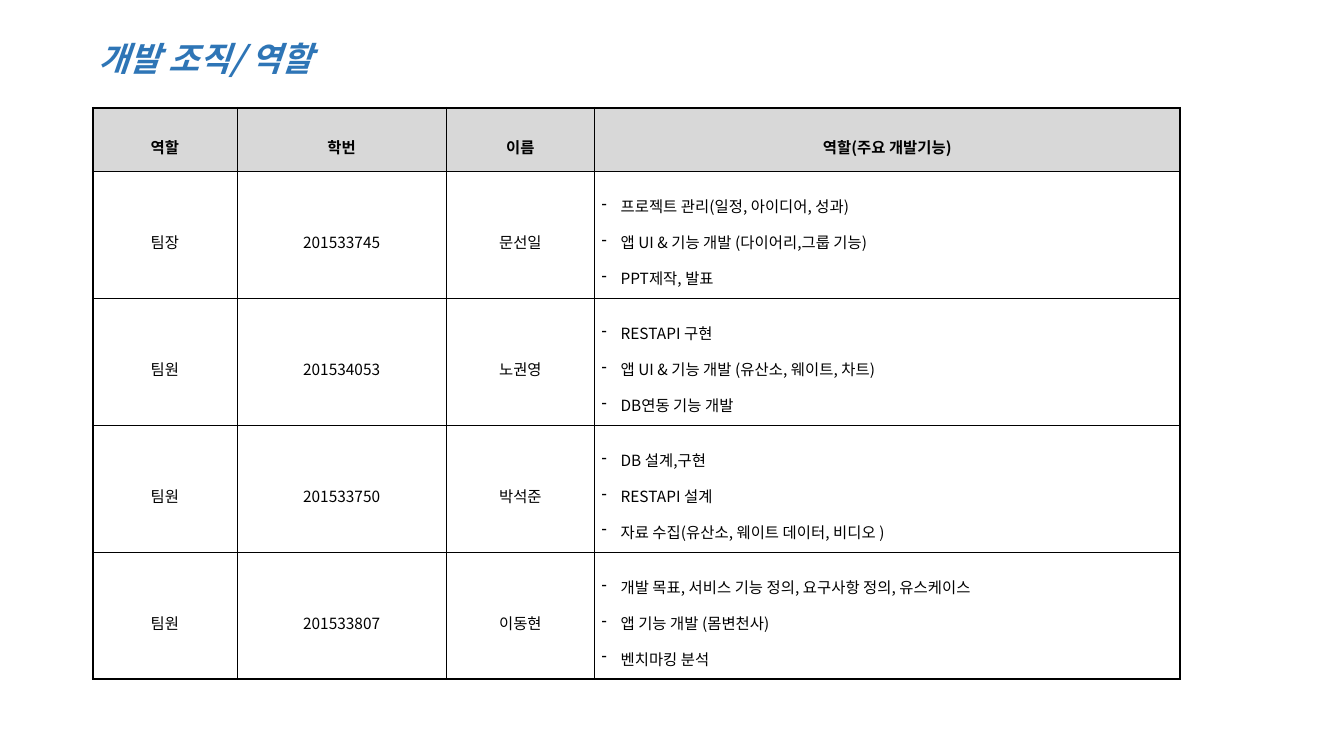
from lxml import etree
from pptx import Presentation
from pptx import util as u
from pptx.dml import color
from pptx.enum import text
from pptx.oxml import ns

FONT = "Noto Sans CJK KR"
HUES = {"title": "2E75B6", "ink": "000000", "head": "D8D8D8"}
HEADS = ["역할", "학번", "이름", "역할(주요 개발기능)"]
TEAM = [
    ["팀장", "201533745", "문선일",
     "프로젝트 관리(일정, 아이디어, 성과)\n"
     "앱 UI & 기능 개발 (다이어리,그룹 기능)\n"
     "PPT제작, 발표"],
    ["팀원", "201534053", "노권영",
     "RESTAPI 구현\n"
     "앱 UI & 기능 개발 (유산소, 웨이트, 차트)\n"
     "DB연동 기능 개발"],
    ["팀원", "201533750", "박석준",
     "DB 설계,구현\n"
     "RESTAPI 설계\n"
     "자료 수집(유산소, 웨이트 데이터, 비디오 )"],
    ["팀원", "201533807", "이동현",
     "개발 목표, 서비스 기능 정의, 요구사항 정의, 유스케이스\n"
     "앱 기능 개발 (몸변천사)\n"
     "벤치마킹 분석"],
]
WIDTHS = [3.63, 5.28, 3.73, 14.76]
HEIGHTS = [1.6] + [3.2] * len(TEAM)
THIN, THICK = 0.28, 1.7


def rgb(name):
    return color.RGBColor.from_string(HUES[name])


def style(para, size, hue, bold=False, italic=False):
    for run in para.runs:
        font = run.font
        font.size, font.name = u.Pt(size), FONT
        font.bold, font.italic = bold, italic
        font.color.rgb = rgb(hue)
        east = etree.SubElement(run._r.get_or_add_rPr(), ns.qn("a:ea"))
        east.set("typeface", FONT)


def dash(para):
    """Give the paragraph a hanging dash bullet."""
    props = para._p.get_or_add_pPr()
    props.set("marL", str(u.Cm(0.48)))
    props.set("indent", str(-u.Cm(0.48)))
    etree.SubElement(props, ns.qn("a:buChar")).set("char", "-")


def edge(cell, side, points):
    """Draw one border of a cell; side is L, R, T or B."""
    line = etree.SubElement(cell._tc.get_or_add_tcPr(), ns.qn("a:ln" + side))
    line.set("w", str(u.Pt(points)))
    fill = etree.SubElement(line, ns.qn("a:solidFill"))
    etree.SubElement(fill, ns.qn("a:srgbClr")).set("val", HUES["ink"])


def fill_cell(cell, words, head, duty, outer):
    for side in "LRTB":
        edge(cell, side, THICK if side in outer else THIN)
    if head:
        cell.fill.solid()
        cell.fill.fore_color.rgb = rgb("head")
    else:
        cell.fill.background()
    cell.margin_left = cell.margin_right = u.Cm(0.18)
    cell.margin_top = cell.margin_bottom = u.Cm(0.05)
    cell.vertical_anchor = text.MSO_ANCHOR.MIDDLE
    cell.text_frame.text = words
    for para in cell.text_frame.paragraphs:
        if duty:
            dash(para)
        para.alignment = text.PP_ALIGN.LEFT if duty else text.PP_ALIGN.CENTER
        para.line_spacing = 1.6
        style(para, 11, "ink", bold=head)


def add_title(slide, left, top, width, height):
    title = slide.shapes.title
    title.left, title.top = u.Cm(left), u.Cm(top)
    title.width, title.height = u.Cm(width), u.Cm(height)
    frame = title.text_frame
    frame.text = "개발 조직/ 역할"
    frame.word_wrap = True
    frame.auto_size = text.MSO_AUTO_SIZE.SHAPE_TO_FIT_TEXT
    frame.vertical_anchor = text.MSO_ANCHOR.TOP
    para = frame.paragraphs[0]
    para.alignment = text.PP_ALIGN.LEFT
    para.line_spacing = 1.5
    style(para, 24, "title", bold=True, italic=True)


def add_team(slide, left, top):
    rows = [HEADS] + TEAM
    table = slide.shapes.add_table(
        len(rows), len(HEADS), u.Cm(left), u.Cm(top),
        u.Cm(sum(WIDTHS)), u.Cm(sum(HEIGHTS))).table
    table.first_row = table.horz_banding = False
    for col, width in zip(table.columns, WIDTHS):
        col.width = u.Cm(width)
    for row, height in zip(table.rows, HEIGHTS):
        row.height = u.Cm(height)
    end, last = len(rows) - 1, len(HEADS) - 1
    for r, row in enumerate(rows):
        for c, words in enumerate(row):
            outer = [side for side, hit in zip(
                "LRTB", (c == 0, c == last, r == 0, r == end)) if hit]
            fill_cell(table.cell(r, c), words, r == 0, r > 0 and c == last, outer)


def main():
    deck = Presentation()
    deck.slide_width, deck.slide_height = u.Cm(33.87), u.Cm(19.05)
    slide = deck.slides.add_slide(deck.slide_layouts[5])
    add_title(slide, 2.24, 0.33, 15.32, 1.6)
    add_team(slide, 2.34, 2.72)
    deck.save("out.pptx")


if __name__ == "__main__":
    main()
